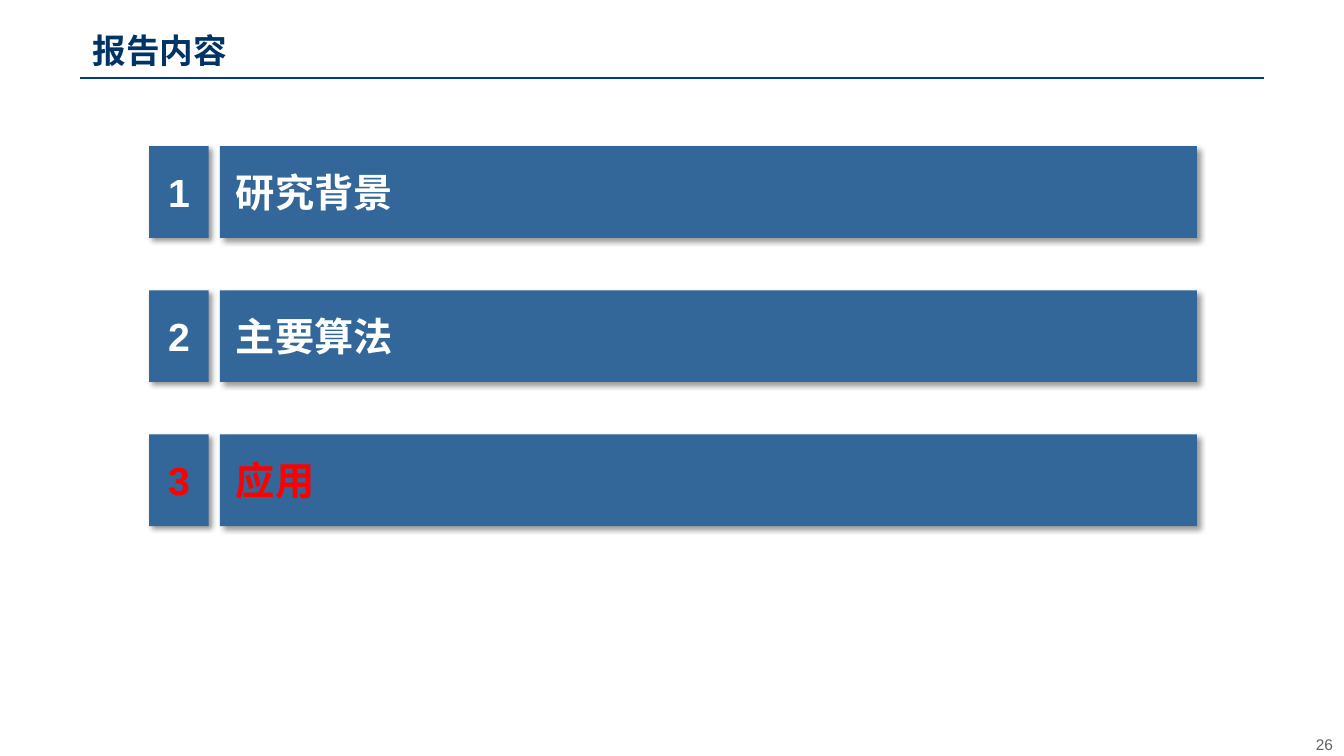
from dataclasses import dataclass

import lxml.etree
import pptx
import pptx.dml.color
import pptx.enum.shapes
import pptx.enum.text
import pptx.oxml.ns
import pptx.util

Inches = pptx.util.Inches
Pt = pptx.util.Pt
Align = pptx.enum.text.PP_ALIGN
Anchor = pptx.enum.text.MSO_ANCHOR
qn = pptx.oxml.ns.qn

COLORS = {
    "bar": "336699",
    "title": "003366",
    "rule": "003C82",
    "text": "FFFFFF",
    "current": "FF0000",
    "page": "606060",
    "shadow": "000000",
}
FONT = "Arial"
BAR_FRAME = {"margin_left": 0, "margin_top": 0, "margin_right": 0, "margin_bottom": 0,
             "vertical_anchor": Anchor.MIDDLE, "word_wrap": True}
PLAIN_FRAME = {"margin_left": Inches(0.1), "margin_top": Inches(0.05),
               "margin_right": Inches(0.1), "margin_bottom": Inches(0.05),
               "vertical_anchor": Anchor.TOP, "word_wrap": True,
               "auto_size": pptx.enum.text.MSO_AUTO_SIZE.NONE}

# Agenda grid, in inches
FIRST_ROW, ROW_PITCH, ROW_HEIGHT = 1.45, 1.43, 0.91


@dataclass(frozen=True)
class Column:
    left: float
    width: float
    indent: float
    align: Align


@dataclass(frozen=True)
class Section:
    heading: str
    color: str = "text"


NUMBER_COLUMN = Column(1.48, 0.59, 0, Align.CENTER)
HEADING_COLUMN = Column(2.18, 9.69, 0.16, Align.LEFT)
SECTIONS = [Section("研究背景"), Section("主要算法"), Section("应用", "current")]


def rgb(name: str) -> pptx.dml.color.RGBColor:
    return pptx.dml.color.RGBColor.from_string(COLORS[name])


def write(shape, text: str, size: float, color: str, align: Align,
          frame_format: dict, bold: bool = True) -> None:
    frame = shape.text_frame
    for name, value in frame_format.items():
        setattr(frame, name, value)
    paragraph = frame.paragraphs[0]
    paragraph.alignment = align
    run = paragraph.add_run()
    run.text = text
    for name, value in {"name": FONT, "size": Pt(size), "bold": bold}.items():
        setattr(run.font, name, value)
    run.font.color.rgb = rgb(color)


def cast_shadow(shape) -> None:
    """Give the shape a soft shadow to the lower right."""
    shape.shadow.inherit = False
    effects = shape._element.spPr.find(qn("a:effectLst"))
    shadow = lxml.etree.SubElement(effects, qn("a:outerShdw"), blurRad=str(Pt(4)),
                                   dist=str(Pt(3)), dir=str(45 * 60000),
                                   algn="tl", rotWithShape="0")
    color = lxml.etree.SubElement(shadow, qn("a:srgbClr"), val=COLORS["shadow"])
    lxml.etree.SubElement(color, qn("a:alpha"), val="40000")


def add_bar(slide, row: int, column: Column, text: str, color: str) -> None:
    bar = slide.shapes.add_shape(
        pptx.enum.shapes.MSO_SHAPE.RECTANGLE,
        Inches(column.left), Inches(FIRST_ROW + row * ROW_PITCH),
        Inches(column.width), Inches(ROW_HEIGHT))
    bar.fill.solid()
    bar.fill.fore_color.rgb = rgb("bar")
    bar.line.fill.background()
    cast_shadow(bar)
    frame_format = BAR_FRAME | {"margin_left": Inches(column.indent)}
    write(bar, text, 28, color, column.align, frame_format)


def add_title(slide, text: str) -> None:
    """Fill the title placeholder and underline it across the slide."""
    title = slide.shapes.title
    place = {"left": 0.82, "top": 0.25, "width": 3.41, "height": 0.5}
    for name, value in place.items():
        setattr(title, name, Inches(value))
    write(title, text, 24, "title", Align.LEFT, PLAIN_FRAME)

    rule = slide.shapes.add_connector(
        pptx.enum.shapes.MSO_CONNECTOR.STRAIGHT,
        Inches(0.79), Inches(0.77), Inches(12.54), Inches(0.77))
    rule.line.color.rgb = rgb("rule")
    rule.line.width = Pt(1.5)
    lxml.etree.SubElement(rule._element.spPr, qn("a:effectLst"))


def add_page_number(slide, number: int) -> None:
    box = slide.shapes.add_textbox(Inches(12.81), Inches(7.24), Inches(0.51), Inches(0.24))
    write(box, str(number), 11, "page", Align.RIGHT, PLAIN_FRAME, bold=False)


def main() -> None:
    presentation = pptx.Presentation()
    presentation.slide_width = Inches(13.33)
    presentation.slide_height = Inches(7.5)
    title_only = presentation.slide_layouts[5]
    slide = presentation.slides.add_slide(title_only)

    add_title(slide, "报告内容")
    for row, section in enumerate(SECTIONS):
        add_bar(slide, row, NUMBER_COLUMN, str(row + 1), section.color)
        add_bar(slide, row, HEADING_COLUMN, section.heading, section.color)
    add_page_number(slide, 26)

    presentation.save("out.pptx")


if __name__ == "__main__":
    main()
